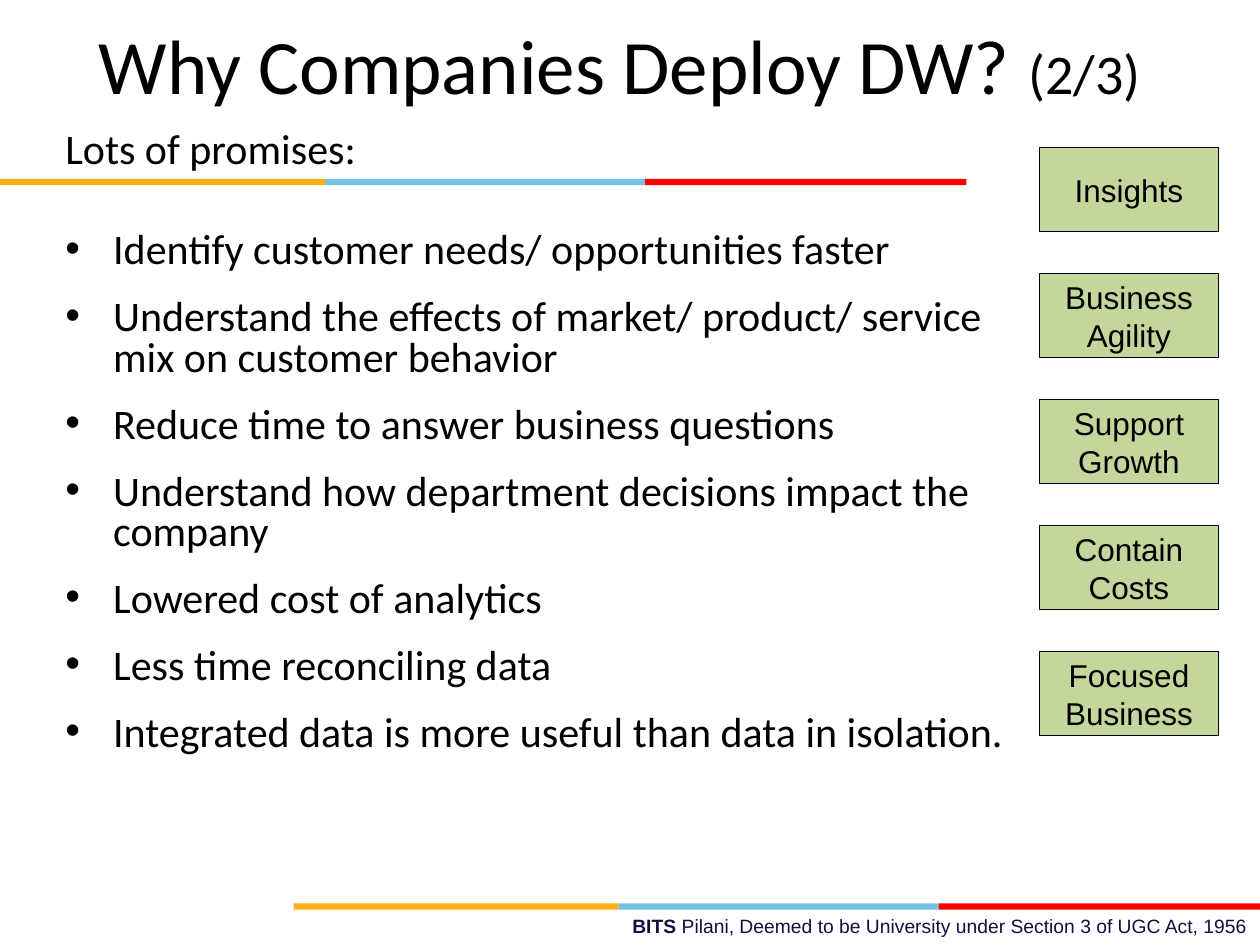
from lxml.etree import SubElement
from pptx import Presentation
from pptx.dml.color import RGBColor
from pptx.enum.shapes import MSO_SHAPE as Preset
from pptx.enum.text import MSO_ANCHOR as Anchor, PP_ALIGN as Align
from pptx.oxml.ns import qn
from pptx.util import Inches, Pt

WIDTH, HEIGHT = 10, 7.5
BLACK, NAVY, GREEN = "000000", "101141", "C3D69B"
STRIPE = [("FCB017", 2.58), ("76C2E5", 2.54), ("FF0000", 2.55)]
STRIPE_WIDTH = sum(width for _, width in STRIPE)
HEADING = {"name": "Calibri", "size": Pt(44)}
COUNTER = {"name": "Calibri", "size": Pt(32)}
BODY = {"name": "Calibri", "size": Pt(24)}
LABEL = {"name": "Arial", "size": Pt(18)}
FOOTER = {"name": "Arial", "size": Pt(11)}
INDENT = 0.38
PROMISES = [
    "Identify customer needs/ opportunities faster",
    "Understand the effects of market/ product/ service mix on customer behavior",
    "Reduce time to answer business questions",
    "Understand how department decisions impact the company",
    "Lowered cost of analytics",
    "Less time reconciling data",
    "Integrated data is more useful than data in isolation.",
]
BENEFITS = [
    ["Insights"],
    ["Business", "Agility"],
    ["Support", "Growth"],
    ["Contain", "Costs"],
    ["Focused", "Business"],
]


def paint(color_format, color):
    """Set a fill or font colour from a hex string."""
    color_format.rgb = RGBColor.from_string(color)


def set_attributes(target, values):
    """Set each named attribute of the target."""
    for name, value in values.items():
        setattr(target, name, value)


def add_run(paragraph, text, style, color=BLACK, bold=False):
    """Append styled text to a paragraph."""
    run = paragraph.add_run()
    run.text = text
    set_attributes(run.font, {**style, "bold": bold})
    paint(run.font.color, color)


def add_bullet(paragraph):
    """Give a paragraph a hanging bullet."""
    properties = paragraph._p.get_or_add_pPr()
    properties.set("marL", str(Inches(INDENT)))
    properties.set("indent", str(-Inches(INDENT)))
    SubElement(properties, qn("a:buFont")).set("typeface", "Arial")
    SubElement(properties, qn("a:buChar")).set("char", "•")


def add_rectangle(shapes, left, top, width, height, color):
    """Add a plain filled rectangle."""
    shape = shapes.add_shape(Preset.RECTANGLE, *map(Inches, (left, top, width, height)))
    shape.shadow.inherit = False
    shape.fill.solid()
    paint(shape.fill.fore_color, color)
    shape.line.fill.background()
    return shape


def add_stripe(slide, left, top):
    """Add a grouped three-colour stripe."""
    group = slide.shapes.add_group_shape()
    for color, width in STRIPE:
        add_rectangle(group.shapes, left, top, width, 0.05, color)
        left += width


def add_text(slide, left, top, width, height, anchor=Anchor.TOP):
    """Add a wrapping text box and return its frame."""
    box = slide.shapes.add_textbox(*map(Inches, (left, top, width, height)))
    set_attributes(box.text_frame, {"word_wrap": True, "vertical_anchor": anchor})
    return box.text_frame


def add_benefit(slide, row, lines):
    """Add a labelled box in its row of the right-hand column."""
    shape = add_rectangle(slide.shapes, 8.25, 1.17 + row, 1.42, 0.67, GREEN)
    paint(shape.line.color, BLACK)
    shape.line.width = Pt(0.75)
    frame = shape.text_frame
    set_attributes(frame, {"word_wrap": False, "vertical_anchor": Anchor.MIDDLE})
    for index, line in enumerate(lines):
        paragraph = frame.add_paragraph() if index else frame.paragraphs[0]
        paragraph.alignment = Align.CENTER
        add_run(paragraph, line, LABEL)


def add_title(slide):
    """Add the title with its smaller page counter."""
    paragraph = add_text(slide, 0.42, 0.17, 9, 0.67, Anchor.MIDDLE).paragraphs[0]
    paragraph.alignment = Align.CENTER
    add_run(paragraph, "Why Companies Deploy DW? ", HEADING)
    add_run(paragraph, "(2/3)", COUNTER)


def add_promises(slide):
    """Add the lead line and the bulleted promises."""
    frame = add_text(slide, 0.42, 1, 7.83, 5.34)
    lead = frame.paragraphs[0]
    lead.line_spacing = 0.8
    add_run(lead, "Lots of promises:", BODY)
    for index, promise in enumerate(PROMISES):
        paragraph = frame.add_paragraph()
        spacing = {"line_spacing": 0.8, "space_before": Pt(15.2 if index else 34.4)}
        set_attributes(paragraph, spacing)
        add_bullet(paragraph)
        add_run(paragraph, promise, BODY)


def add_footer(slide):
    """Add the right-aligned footer line."""
    paragraph = add_text(slide, 3.58, 7.21, 6.42, 0.29).paragraphs[0]
    paragraph.alignment = Align.RIGHT
    add_run(paragraph, "BITS ", FOOTER, NAVY, True)
    add_run(paragraph, "Pilani, Deemed to be University under Section 3 of UGC Act, 1956",
            FOOTER, NAVY)


def main():
    """Build and save the slide."""
    presentation = Presentation()
    size = {"slide_width": Inches(WIDTH), "slide_height": Inches(HEIGHT)}
    set_attributes(presentation, size)
    slide = presentation.slides.add_slide(presentation.slide_layouts[6])
    add_footer(slide)
    add_stripe(slide, WIDTH - STRIPE_WIDTH, 7.17)
    add_stripe(slide, 0, 1.42)
    add_title(slide)
    add_promises(slide)
    for row, lines in enumerate(BENEFITS):
        add_benefit(slide, row, lines)
    presentation.save("out.pptx")


if __name__ == "__main__":
    main()
